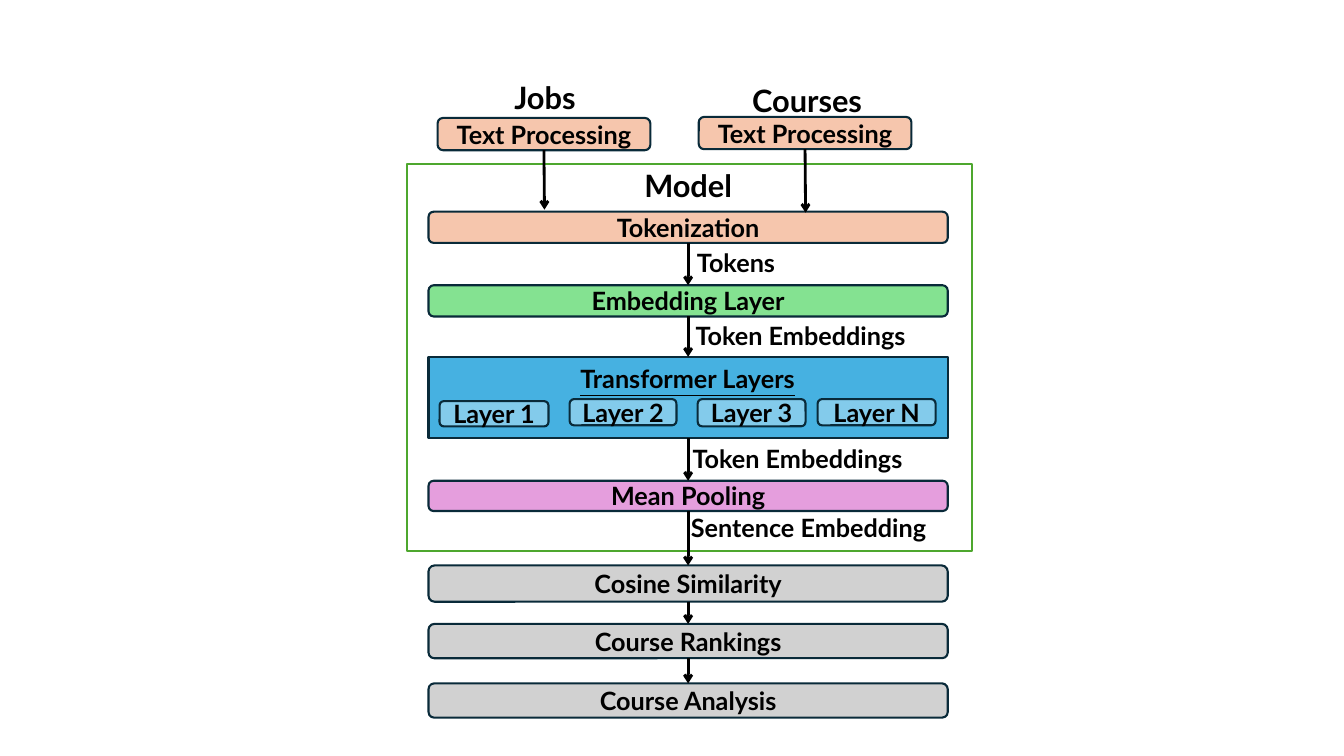
"""Build a slide that shows a job and course matching pipeline."""
from itertools import pairwise

from lxml import etree
from pptx import Presentation
from pptx import util as u
from pptx.dml.color import RGBColor
from pptx.enum import shapes, text
from pptx.oxml.ns import qn

PX = 9144
FONT = "Lato"
COLORS = {
    "text": "000000", "outline": "092A39", "frame": "4EA72E", "white": "FFFFFF",
    "input": "F6C6AD", "embedding": "84E291", "transformer": "46B1E1",
    "layer": "83CBEB", "pooling": "E59EDD", "result": "D1D1D1",
}
TOP, LEFT, BOTTOM, RIGHT = range(4)
STACK_LEFT, STACK_WIDTH = 425, 515
STAGES = [
    ("Tokenization", 210, 31, "input"),
    ("Embedding Layer", 283, 31, "embedding"),
    ("", 354, 81, "transformer"),
    ("Mean Pooling", 477, 30, "pooling"),
    ("Cosine Similarity", 561, 36, "result"),
    ("Course Rankings", 619, 34, "result"),
    ("Course Analysis", 678, 34, "result"),
]
LAYERS = [
    ("Layer 1", 436, 398, 108, 25),
    ("Layer 2", 565, 396, 106, 26),
    ("Layer 3", 692, 396, 107, 27),
    ("Layer N", 811, 396, 117, 26),
]
LABELS = [
    ("Transformer Layers", 514, 337, 336, True),
    ("Tokens", 628, 222, 204, False),
    ("Token Embeddings", 626, 294, 336, False),
    ("Token Embeddings", 623, 416, 336, False),
    ("Sentence Embedding", 634, 485, 336, False),
]


def px(*lengths):
    """Turn pixel lengths into EMU."""
    return [u.Emu(length * PX) for length in lengths]


def rgb(name):
    """Look up a named colour."""
    return RGBColor.from_string(COLORS[name])


def write(shape, words, size=18, underline=None, anchor=text.MSO_ANCHOR.MIDDLE, spacing=None):
    """Put centred bold text into a shape."""
    frame = shape.text_frame
    frame.word_wrap = True
    frame.auto_size = text.MSO_AUTO_SIZE.NONE
    frame.vertical_anchor = anchor
    paragraph = frame.paragraphs[0]
    paragraph.alignment = text.PP_ALIGN.CENTER
    paragraph.line_spacing = spacing
    run = paragraph.add_run()
    run.text = words
    run.font.name = FONT
    run.font.size = u.Pt(size)
    run.font.bold = True
    run.font.underline = underline
    run.font.color.rgb = rgb("text")


def add_box(slide, words, bounds, fill, outline="outline", rounded=True):
    """Add a filled, outlined box with optional text."""
    kind = shapes.MSO_SHAPE.ROUNDED_RECTANGLE if rounded else shapes.MSO_SHAPE.RECTANGLE
    box = slide.shapes.add_shape(kind, *px(*bounds))
    box.shadow.inherit = False
    box.fill.solid()
    box.fill.fore_color.rgb = rgb(fill)
    box.line.color.rgb = rgb(outline)
    box.line.width = u.Pt(1.5)
    if words:
        write(box, words)
    return box


def add_label(slide, words, bounds, **style):
    """Add a text box without fill."""
    write(slide.shapes.add_textbox(*px(*bounds)), words, spacing=0.9, **style)


def add_arrow(slide, source, x, start, end, target=None):
    """Add a downward arrow that leaves the bottom of a box."""
    arrow = slide.shapes.add_connector(shapes.MSO_CONNECTOR.STRAIGHT, *px(x, start, x, end))
    arrow.begin_connect(source, BOTTOM)
    if target is not None:
        arrow.end_connect(target, TOP)
    arrow.line.color.rgb = rgb("text")
    arrow.line.width = u.Pt(2)
    etree.SubElement(arrow.line._get_or_add_ln(), qn("a:tailEnd"), type="arrow")
    etree.SubElement(arrow._element.spPr, qn("a:effectLst"))


def add_stack(slide):
    """Add the full-width stages and the arrows between them."""
    boxes = [
        add_box(slide, words, (STACK_LEFT, top, STACK_WIDTH, height), fill, rounded=bool(words))
        for words, top, height, fill in STAGES
    ]
    center = STACK_LEFT + STACK_WIDTH // 2
    for (source, upper), (target, lower) in pairwise(zip(boxes, STAGES)):
        add_arrow(slide, source, center, upper[1] + upper[2], lower[1], target)


def main():
    """Build and save the slide."""
    presentation = Presentation()
    presentation.slide_width, presentation.slide_height = px(1333, 750)
    slide = presentation.slides.add_slide(presentation.slide_layouts[5])
    heading = {"size": 22, "anchor": text.MSO_ANCHOR.BOTTOM}

    title = slide.shapes.title
    title.left, title.top, title.width, title.height = px(446, 74, 189, 46)
    write(title, "Jobs", spacing=0.9, **heading)
    add_label(slide, "Courses", (706, 77, 189, 46), **heading)

    add_box(slide, "", (404, 163, 560, 384), "white", outline="frame", rounded=False)
    add_stack(slide)
    for left, top, tip in [(434, 117, 208), (693, 116, 211)]:
        box = add_box(slide, "Text Processing", (left, top, 211, 32), "input")
        add_arrow(slide, box, left + 106, top + 32, tip)
    for words, *bounds in LAYERS:
        add_box(slide, words, bounds, "layer")
    for words, left, top, width, underline in LABELS:
        add_label(slide, words, (left, top, width, 81), underline=underline)
    add_label(slide, "Model", (588, 162, 189, 46), **heading)

    presentation.save("out.pptx")


if __name__ == "__main__":
    main()
